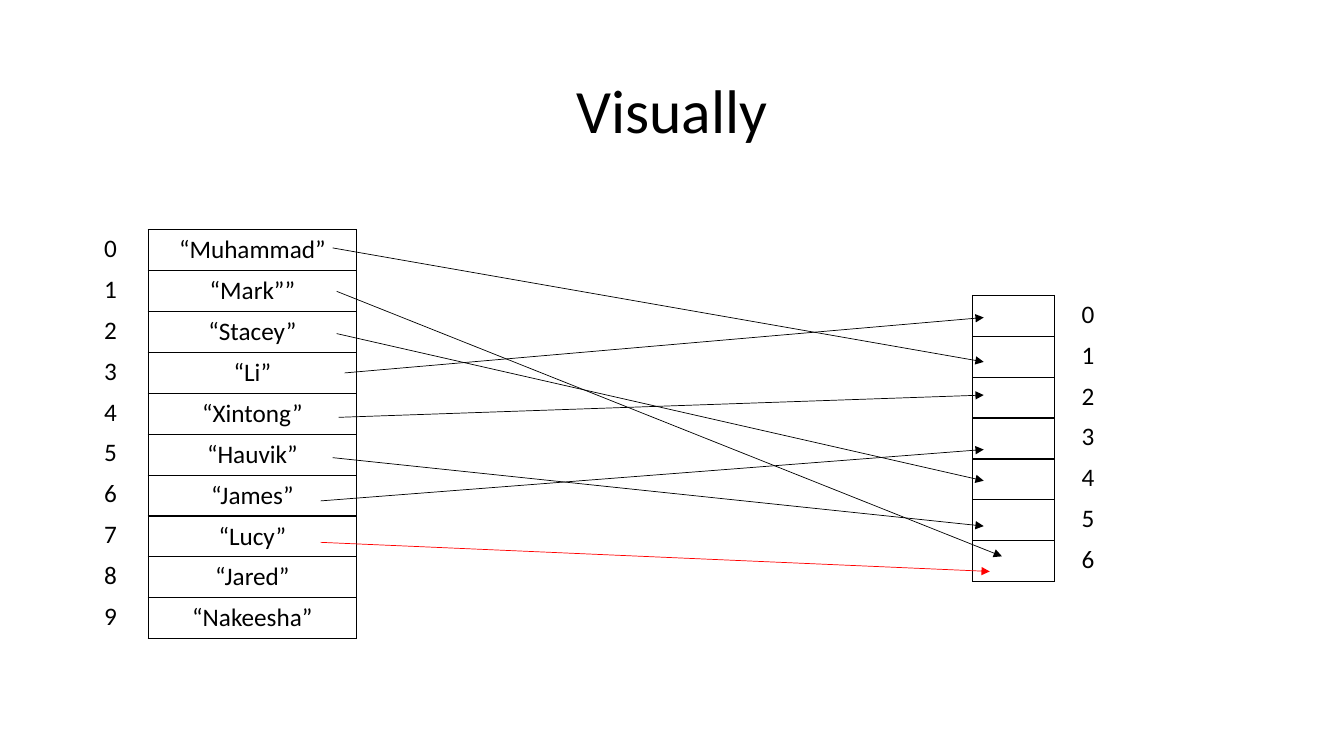
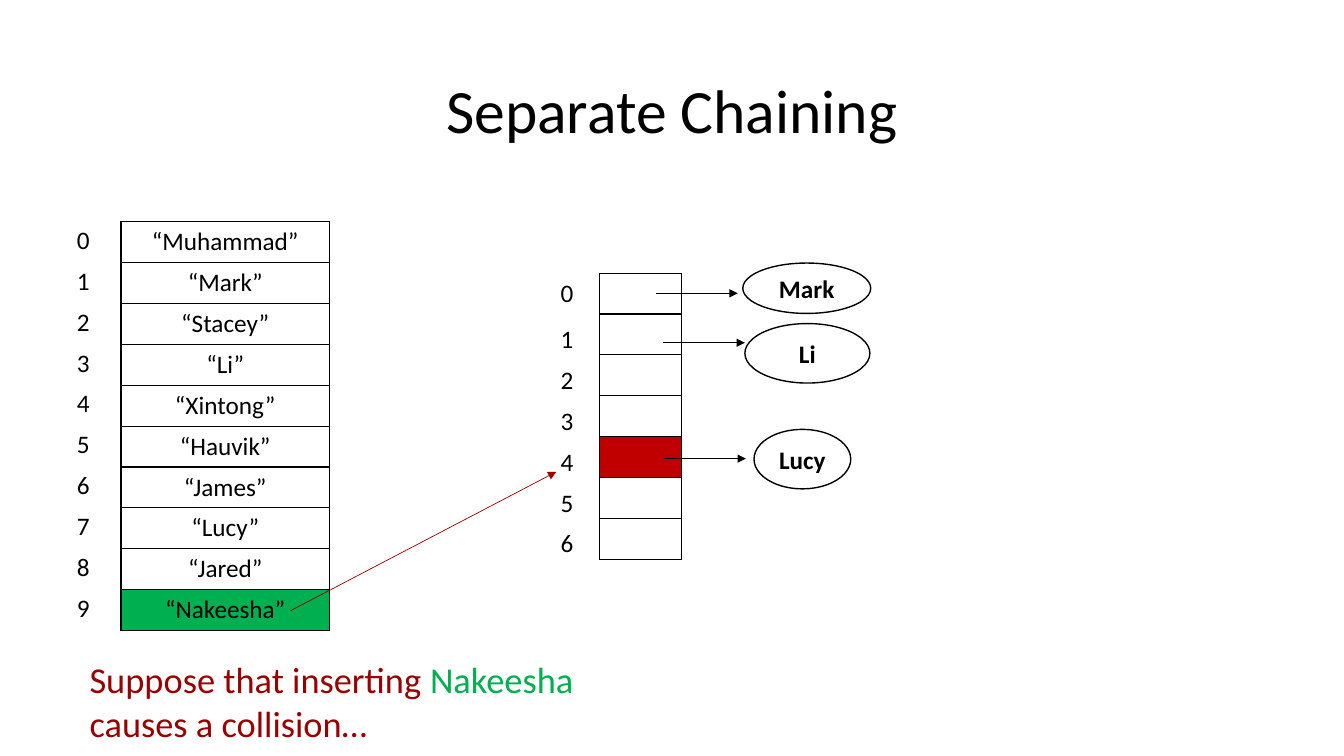
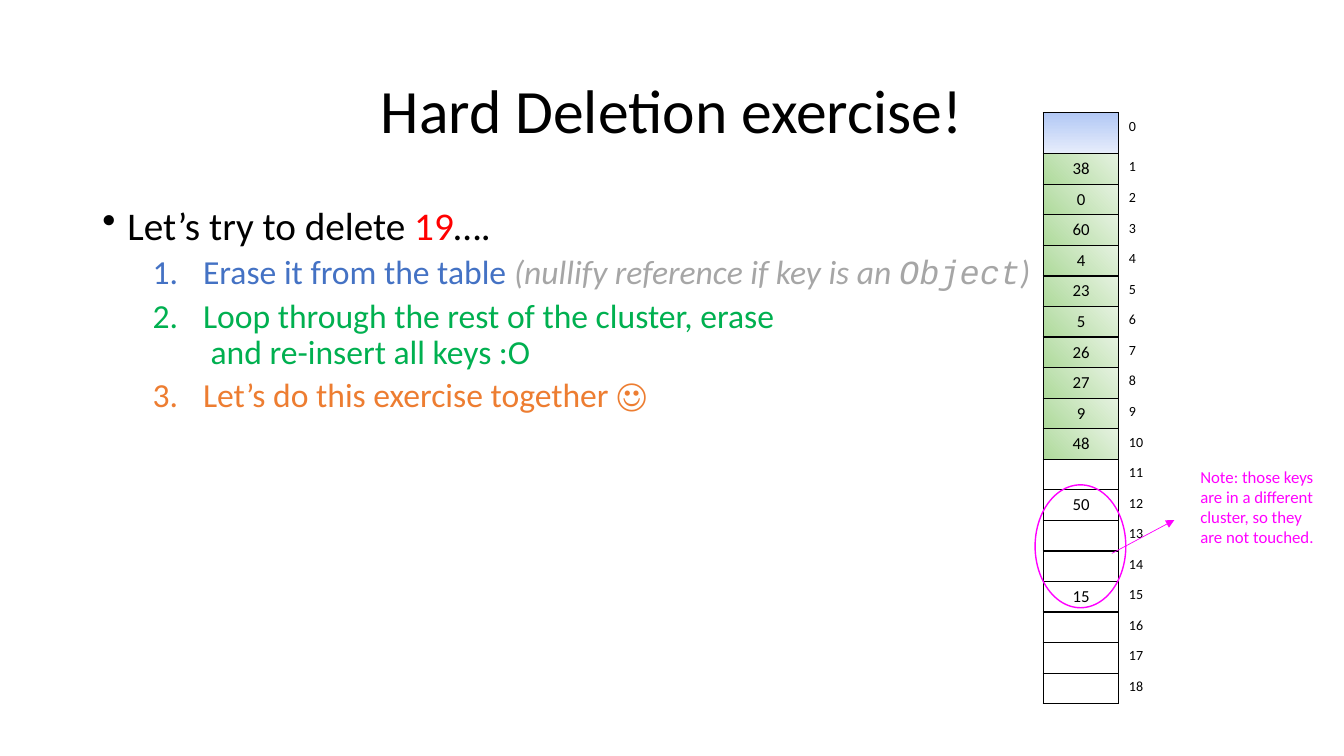
from dataclasses import dataclass

from lxml.etree import SubElement
from pptx import Presentation
from pptx.dml.color import RGBColor
from pptx.enum.shapes import MSO_CONNECTOR as CONN, MSO_SHAPE as SHAPE
from pptx.enum.text import MSO_ANCHOR as ANCHOR, PP_ALIGN as ALIGN
from pptx.oxml.ns import qn
from pptx.util import Pt


@dataclass(frozen=True)
class Theme:
    font: str = "Calibri"
    code_font: str = "Courier New"
    ink: str = "000000"
    paper: str = "FFFFFF"
    red: str = "FF0000"
    dark_red: str = "990000"
    crimson: str = "C00000"
    green: str = "00B050"
    blue: str = "4472C4"
    orange: str = "ED7D31"
    grey: str = "A6A6A6"
    magenta: str = "FF00FF"
    blue_fade: tuple = ("B2C8F5", "E7EDFB", 270)
    green_fade: tuple = ("AEDA9B", "E6F2E1", 45)
    title: int = 44
    body: int = 28
    caption: int = 26
    step: int = 24
    label: int = 18
    small: int = 12
    tiny: int = 10
    rule: float = 1
    arrow: float = 0.5


T = Theme()
NO_STYLE = "{2D5ABB26-0587-4C30-8999-92F81FD0307C}"
ROW = 29.2
SLIM_ROW = 21.85
BUCKET_W = 58.3


@dataclass(frozen=True)
class Cell:
    text: str = ""
    size: int = T.label
    align: ALIGN = ALIGN.CENTER
    fill: object = None
    edges: str = "LRTB"


def rgb(value):
    return RGBColor.from_string(value)


def apply(target, values):
    for name, value in values.items():
        setattr(target, name, value)


def add_runs(p, runs, size, **base):
    for text, extra in runs:
        if text == "\n":
            p.add_line_break()
            continue
        fmt = {"name": T.font, "color": T.ink, **base, **extra}
        color = fmt.pop("color")
        r = p.add_run()
        r.text = text
        apply(r.font, {"size": Pt(size), **fmt})
        r.font.color.rgb = rgb(color)


def add_text(s, x, y, w, h, runs, size, anchor=ANCHOR.TOP, **para):
    tf = s.shapes.add_textbox(Pt(x), Pt(y), Pt(w), Pt(h)).text_frame
    apply(tf, {"word_wrap": True, "vertical_anchor": anchor})
    p = tf.paragraphs[0]
    apply(p, para)
    add_runs(p, runs, size)
    return tf


def add_bullet(p, margin, hang, tag, **attrs):
    pPr = p._p.get_or_add_pPr()
    pPr.set("marL", str(Pt(margin)))
    pPr.set("indent", str(-Pt(hang)))
    SubElement(pPr, qn("a:" + tag), **attrs)


def set_borders(cell, edges):
    tcPr = cell._tc.get_or_add_tcPr()
    for side in "LRTB":
        ln = SubElement(tcPr, qn("a:ln" + side), w=str(Pt(T.rule)))
        if side in edges:
            fill = SubElement(ln, qn("a:solidFill"))
            SubElement(fill, qn("a:srgbClr"), val=T.ink)
        else:
            SubElement(ln, qn("a:noFill"))


def set_fill(fill, value):
    if value is None:
        fill.background()
    elif isinstance(value, tuple):
        *colors, angle = value
        fill.gradient()
        fill.gradient_angle = angle
        for stop, color in zip(fill.gradient_stops, colors):
            stop.color.rgb = rgb(color)
    else:
        fill.solid()
        fill.fore_color.rgb = rgb(value)


def add_grid(s, x, y, widths, heights, rows):
    frame = s.shapes.add_table(len(rows), len(widths), Pt(x), Pt(y),
                               Pt(sum(widths)), Pt(sum(heights)))
    table = frame.table
    apply(table, {"first_row": False, "horz_banding": False})
    table._tbl.tblPr.find(qn("a:tableStyleId")).text = NO_STYLE
    for column, width in zip(table.columns, widths):
        column.width = Pt(width)
    for i, (height, row) in enumerate(zip(heights, rows)):
        table.rows[i].height = Pt(height)
        for j, item in enumerate(row):
            cell = table.cell(i, j)
            set_borders(cell, item.edges)
            set_fill(cell.fill, item.fill)
            p = cell.text_frame.paragraphs[0]
            p.alignment = item.align
            if item.text:
                add_runs(p, [(item.text, {})], item.size)
            else:
                SubElement(p._p, qn("a:endParaRPr"), sz=str(item.size * 100))


def add_column(s, x, y, width, cells, first=ROW):
    heights = [first] + [ROW] * (len(cells) - 1)
    add_grid(s, x, y, [width], heights, [[c] for c in cells])


def add_indices(s, x, y, width, count, first=ROW):
    add_column(s, x, y, width, [Cell(str(i), edges="") for i in range(count)], first)


def add_names(s, x, y, names, fills):
    add_indices(s, x - 53.2, y - 1, 52.6, len(names))
    add_column(s, x, y, 149, [Cell(f"“{n}”", fill=fills.get(n)) for n in names])


def add_arrow(s, start, end, color=T.ink):
    line = s.shapes.add_connector(CONN.STRAIGHT, *map(Pt, start + end))
    line.line.width = Pt(T.arrow)
    line.line.color.rgb = rgb(color)
    SubElement(line.line._get_or_add_ln(), qn("a:tailEnd"), type="triangle")
    SubElement(line._element.spPr, qn("a:effectLst"))


def add_oval(s, x, y, w, h, text="", fill=None, color=T.ink):
    sp = s.shapes.add_shape(SHAPE.OVAL, Pt(x), Pt(y), Pt(w), Pt(h))
    sp.shadow.inherit = False
    set_fill(sp.fill, fill)
    sp.line.width = Pt(T.rule)
    sp.line.color.rgb = rgb(color)
    if text:
        tf = sp.text_frame
        apply(tf, {"word_wrap": False, "vertical_anchor": ANCHOR.MIDDLE})
        p = tf.paragraphs[0]
        p.alignment = ALIGN.CENTER
        add_runs(p, [(text, {})], T.label, bold=True)


def new_slide(prs, title):
    s = prs.slides.add_slide(prs.slide_layouts[6])
    add_text(s, 66, 28.8, 828, 104.4, [(title, {})], T.title, ANCHOR.MIDDLE,
             alignment=ALIGN.CENTER, line_spacing=0.9)
    return s


def visual_slide(prs, names):
    s = new_slide(prs, "Visually")
    add_names(s, 105.8, 164.2, [n.replace("Mark", "Mark”") for n in names], {})
    add_indices(s, 748.1, 210.2, BUCKET_W, 7)
    add_column(s, 694.8, 211, BUCKET_W, [Cell()] * 7)
    for start, end in [
        ((237.6, 177.1), (702.7, 258.5)),
        ((240.5, 208.1), (715.7, 397.4)),
        ((246.2, 266.4), (702.7, 226.8)),
        ((241.9, 298.1), (702.7, 282.2)),
        ((237.6, 326.9), (702.7, 375.8)),
        ((229, 357.8), (702.7, 321.1)),
        ((240.5, 238.3), (702.7, 343.4)),
    ]:
        add_arrow(s, start, end)
    add_arrow(s, (229, 387.4), (707, 408.2), T.red)


def chaining_slide(prs, names):
    s = new_slide(prs, "Separate Chaining")
    add_indices(s, 375.8, 195.1, BUCKET_W, 7, first=33.1)
    add_column(s, 428.4, 195.1, BUCKET_W,
               [Cell(fill=T.crimson if i == 4 else None) for i in range(7)])
    fills = {n: T.paper for n in names}
    fills["Nakeesha"] = T.green
    add_names(s, 86.4, 158.4, names, fills)
    add_text(s, 56.9, 465.8, 417.6, 70.6, [
        ("Suppose that inserting ", {"color": T.dark_red}),
        ("Nakeesha", {"color": T.green}),
        (" causes a collision…", {"color": T.dark_red}),
    ], T.caption)
    add_arrow(s, (207.4, 436.3), (397.4, 337), T.dark_red)
    for name, start, box in [
        ("Lucy", (474.5, 327.6), (538.6, 306.7, 69.1, 42.5)),
        ("Mark", (468.7, 209.5), (530.6, 187.9, 91.4, 36)),
        ("Li", (473.8, 244.8), (532.1, 231.1, 89.3, 42.5)),
    ]:
        add_arrow(s, start, (start[0] + 58.3, start[1]))
        add_oval(s, *box, text=name, fill=T.paper)


def deletion_slide(prs):
    s = new_slide(prs, "Hard Deletion exercise!")
    tf = add_text(s, 66, 144, 828, 342.7, [
        ("Let’s try to delete ", {}), ("19", {"color": T.red}), ("….", {}),
    ], T.body, line_spacing=0.9, space_before=Pt(10))
    add_bullet(tf.paragraphs[0], 18, 18, "buChar", char="•")
    aside = {"color": T.grey, "italic": True}
    for color, runs in [
        (T.blue, [("Erase it from the table ", {}),
                  ("(nullify reference if key is an ", aside),
                  ("Object", {**aside, "name": T.code_font}),
                  (")", aside)]),
        (T.green, [("Loop through the rest of the cluster, erase", {}), ("\n", {}),
                   (" and re-insert all keys :O", {})]),
        (T.orange, [("Let’s do this exercise together ☺", {})]),
    ]:
        p = tf.add_paragraph()
        apply(p, {"level": 1, "line_spacing": 0.9, "space_before": Pt(5)})
        add_bullet(p, 72, 36, "buAutoNum", type="arabicPeriod")
        add_runs(p, runs, T.step, color=color)

    keys = dict(enumerate([38, 0, 60, 4, 23, 5, 26, 27, 9, 48], 1))
    fades = {0: T.blue_fade, **dict.fromkeys(keys, T.green_fade)}
    keys.update({12: 50, 15: 15})
    rows = [[Cell(str(keys.get(i, "")), T.small, fill=fades.get(i)),
             Cell(str(i), T.tiny, ALIGN.LEFT, edges="L")] for i in range(19)]
    add_grid(s, 745.2, 80.6, [54, 51.8], [ROW] + [SLIM_ROW] * 18, rows)
    add_arrow(s, (794.2, 395.3), (838.8, 371.5), T.magenta)
    add_text(s, 850.3, 329.8, 100.8, 65.5, [
        ("Note: those keys are in a different cluster, so they are not touched.",
         {"color": T.magenta}),
    ], T.small)
    add_oval(s, 739.4, 346.3, 64.8, 87.8, color=T.magenta)


def main():
    prs = Presentation()
    apply(prs, {"slide_width": Pt(960), "slide_height": Pt(540)})
    names = ["Muhammad", "Mark", "Stacey", "Li", "Xintong",
             "Hauvik", "James", "Lucy", "Jared", "Nakeesha"]
    visual_slide(prs, names)
    chaining_slide(prs, names)
    deletion_slide(prs)
    prs.save("out.pptx")


if __name__ == "__main__":
    main()
